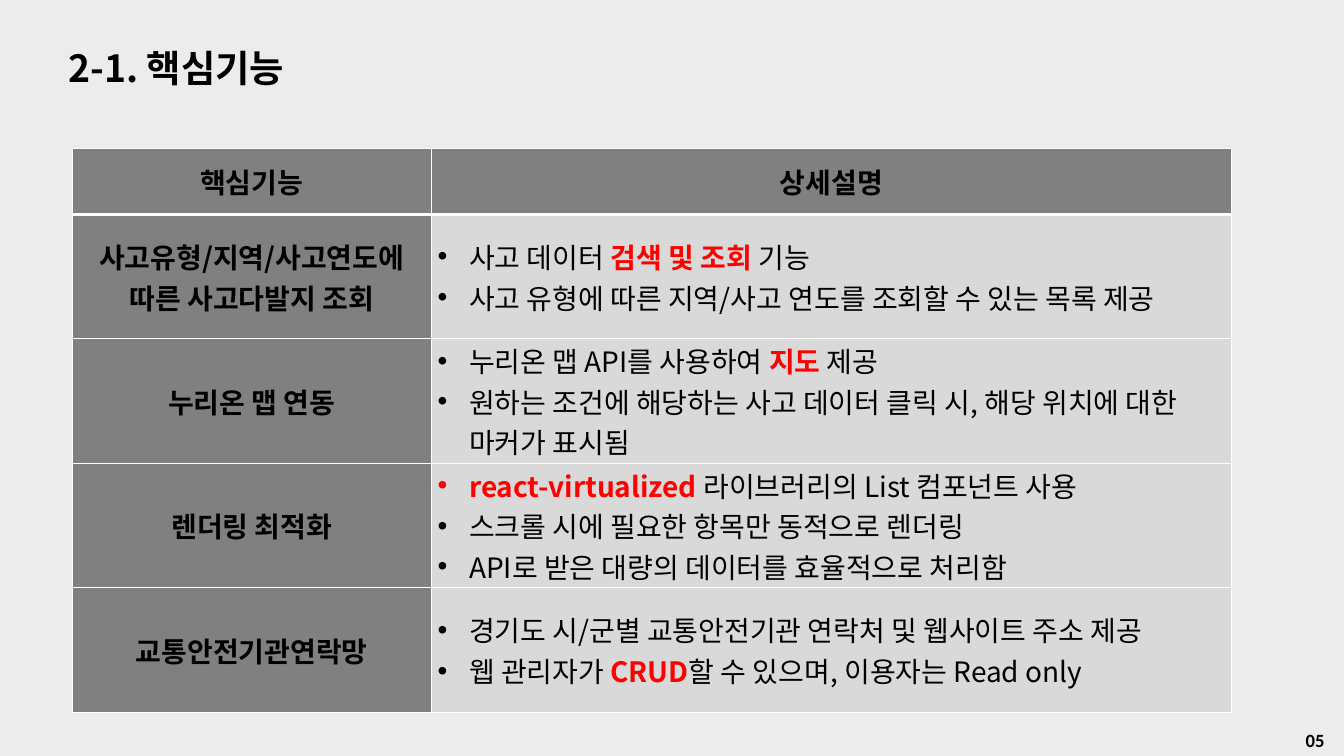
from lxml import etree
from pptx import Presentation
from pptx.dml.color import RGBColor
from pptx.enum.text import MSO_ANCHOR, PP_ALIGN
from pptx.oxml.ns import qn
from pptx.util import Pt

MIDDLE, TOP = MSO_ANCHOR.MIDDLE, MSO_ANCHOR.TOP
LEFT, CENTER = PP_ALIGN.LEFT, PP_ALIGN.CENTER

THEME = {
    "bg": "ECECEC", "text": "000000", "accent": "FF0000", "line": "FFFFFF",
    "dark": "808080", "light": "D9D9D9",
    "font": "Noto Sans CJK KR", "number_font": "Calibri",
    "title": 40, "body": 30, "number": 20,
}


def add_run(p, text, size, color=THEME["text"], bold=True, font=THEME["font"]):
    r = p.add_run()
    r.text = text
    for name, value in {"size": Pt(size), "bold": bold, "name": font}.items():
        setattr(r.font, name, value)
    r.font.color.rgb = RGBColor.from_string(color)
    r.font._element.find(qn("a:latin")).addnext(
        etree.Element(qn("a:ea"), typeface=font))


def add_borders(cell, top, bottom):
    tcPr = cell._tc.get_or_add_tcPr()
    widths = {"lnL": 1, "lnR": 1, "lnT": top, "lnB": bottom}
    for i, (tag, width) in enumerate(widths.items()):
        ln = etree.Element(qn(f"a:{tag}"), w=str(Pt(width)))
        fill = etree.SubElement(ln, qn("a:solidFill"))
        etree.SubElement(fill, qn("a:srgbClr"), val=THEME["line"])
        tcPr.insert(i, ln)


prs = Presentation()
prs.slide_width, prs.slide_height = Pt(1440), Pt(810)
s = prs.slides.add_slide(prs.slide_layouts[5])
s.background.fill.solid()
s.background.fill.fore_color.rgb = RGBColor.from_string(THEME["bg"])

# Title
title = s.shapes.title
box = {"left": 66.24, "top": 44.64, "width": 563.76, "height": 54.72}
for name, value in box.items():
    setattr(title, name, Pt(value))
tf = title.text_frame
tf.vertical_anchor = MIDDLE
p = tf.paragraphs[0]
p.alignment = LEFT
add_run(p, "2-1. 핵심기능", THEME["title"])

# Feature table: each detail line is a list of (text, highlighted) pieces
headers = ["핵심기능", "상세설명"]
features = [
    ("사고유형/지역/사고연도에 따른 사고다발지 조회", [
        [("사고 데이터 ", False), ("검색 및 조회 ", True), ("기능", False)],
        [("사고 유형에 따른 지역/사고 연도를 조회할 수 있는 목록 제공", False)],
    ]),
    ("누리온 맵 연동", [
        [("누리온 맵 API를 사용하여 ", False), ("지도", True), (" 제공", False)],
        [("원하는 조건에 해당하는 사고 데이터 클릭 시, 해당 위치에 대한 마커가 표시됨", False)],
    ]),
    ("렌더링 최적화", [
        [("react-virtualized", True), (" 라이브러리의 List 컴포넌트 사용", False)],
        [("스크롤 시에 필요한 항목만 동적으로 렌더링", False)],
        [("API로 받은 대량의 데이터를 효율적으로 처리함", False)],
    ]),
    ("교통안전기관연락망", [
        [("경기도 시/군별 교통안전기관 연락처 및 웹사이트 주소 제공", False)],
        [("웹 관리자가 ", False), ("CRUD", True),
         ("할 수 있으며, 이용자는 Read only", False)],
    ]),
]
col_widths = [384, 858]
row_heights = [70.3] + [133.4] * len(features)
table = s.shapes.add_table(
    len(row_heights), len(col_widths), Pt(77.76), Pt(159.3),
    Pt(sum(col_widths)), Pt(sum(row_heights))).table
table.first_row = table.horz_banding = False
for column, width in zip(table.columns, col_widths):
    column.width = Pt(width)
for row, height in zip(table.rows, row_heights):
    row.height = Pt(height)

# Cell fills, borders and margins
for i, row in enumerate(table.rows):
    for j, cell in enumerate(row.cells):
        cell.fill.solid()
        cell.fill.fore_color.rgb = RGBColor.from_string(
            THEME["light" if i and j else "dark"])
        cell.vertical_anchor = MIDDLE
        cell.margin_top = cell.margin_bottom = 0
        add_borders(cell, top=3 if i == 1 else 1, bottom=3 if i == 0 else 1)

# Headings in the first row and first column
headings = [(0, j, text) for j, text in enumerate(headers)]
headings += [(i, 0, name) for i, (name, _) in enumerate(features, 1)]
for i, j, text in headings:
    p = table.cell(i, j).text_frame.paragraphs[0]
    p.alignment = CENTER
    add_run(p, text, THEME["body"])

# Bulleted details
for i, (_, lines) in enumerate(features, 1):
    tf = table.cell(i, 1).text_frame
    for n, line in enumerate(lines):
        p = tf.add_paragraph() if n else tf.paragraphs[0]
        pPr = p._p.get_or_add_pPr()
        pPr.set("marL", str(Pt(33.75)))
        pPr.set("indent", str(-Pt(33.75)))
        etree.SubElement(pPr, qn("a:buFont"), typeface="Arial")
        etree.SubElement(pPr, qn("a:buChar"), char="•")
        for text, hot in line:
            add_run(p, text, THEME["body"],
                    THEME["accent" if hot else "text"], bold=hot)

# Page number
tf = s.shapes.add_textbox(Pt(1391.76), Pt(776.9), Pt(48.24), Pt(31)).text_frame
tf.word_wrap = True
tf.vertical_anchor = TOP
add_run(tf.paragraphs[0], "05", THEME["number"], font=THEME["number_font"])

prs.save("out.pptx")
